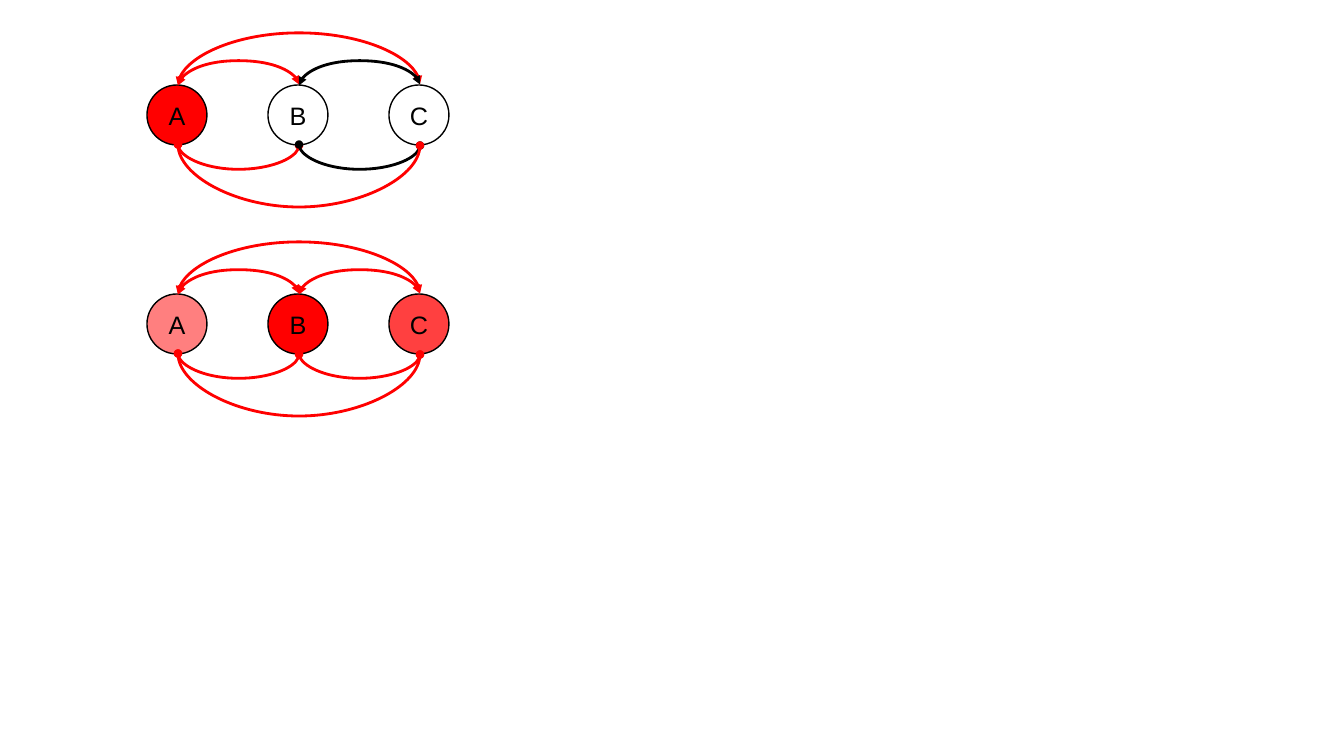
from lxml import etree
from pptx import Presentation, util as u
from pptx.dml.color import RGBColor
from pptx.enum import shapes, text
from pptx.oxml.ns import qn

RED = RGBColor(255, 0, 0)
BLACK = RGBColor(0, 0, 0)
PX = 914400 / 100.8

# Grid of nodes, in px
LEFT, STEP, SIZE = 147, 121, 60
PORT = 178  # x where arcs meet the first node


def px(n):
    return u.Emu(round(n * PX))


class Board:
    font = {"name": "Arial", "size": u.Pt(18)}
    frame = {"vertical_anchor": text.MSO_ANCHOR.MIDDLE, "word_wrap": True}

    def __init__(self, deck):
        self.slide = deck.slides.add_slide(deck.slide_layouts[6])

    def style(self, item, values):
        for key, value in values.items():
            setattr(item, key, value)

    def stroke(self, line, color, width):
        line.color.rgb = color
        line.width = u.Pt(width)

    def node(self, name, x, y, alpha):
        """Labelled circle; alpha is the percentage of red, 0 for no fill."""
        dot = self.slide.shapes.add_shape(
            shapes.MSO_SHAPE.OVAL, px(x), px(y), px(SIZE), px(SIZE))
        dot.shadow.inherit = False
        self.stroke(dot.line, BLACK, 1)
        if alpha:
            dot.fill.solid()
            dot.fill.fore_color.rgb = RED
            if alpha < 100:
                tint = dot.fill._xPr.find(".//" + qn("a:srgbClr"))
                etree.SubElement(tint, qn("a:alpha"), val=str(alpha * 1000))
        else:
            dot.fill.background()
        self.style(dot.text_frame, self.frame)
        para = dot.text_frame.paragraphs[0]
        para.alignment = text.PP_ALIGN.CENTER
        run = para.add_run()
        run.text = name
        self.style(run.font, self.font)
        run.font.color.rgb = BLACK

    def arc(self, start, end, y, bulge, color, over):
        """Curve between two nodes: a 1 px wide connector turned on its side."""
        span = (end - start) * STEP
        x, top = PORT + start * STEP + span / 2 - 0.5, y - span / 2
        link = self.slide.shapes.add_connector(
            shapes.MSO_CONNECTOR.CURVE, px(x), px(top), px(x + 1), px(top + span))
        self.stroke(link.line, color, 2)
        props = link._element.spPr
        turn = {"rot": "5400000", "flipH": "1", "flipV": "1"}
        if not over:
            turn = {"rot": "16200000", "flipH": "1"}
        for key, value in turn.items():
            props.find(qn("a:xfrm")).set(key, value)
        guides = props.find(qn("a:prstGeom")).get_or_add_avLst()
        etree.SubElement(guides, qn("a:gd"), name="adj1", fmla=f"val {bulge * 100000}")
        for tip in ("a:headEnd", "a:tailEnd"):
            etree.SubElement(props.find(qn("a:ln")), qn(tip),
                             type="triangle" if over else "oval")
        etree.SubElement(props, qn("a:effectLst"))

    def graph(self, y, alphas, side):
        """Three nodes, arrows above and dotted arcs below."""
        for i, (name, alpha) in enumerate(zip("ABC", alphas)):
            self.node(name, LEFT + i * STEP, y, alpha)
        for start, end, bulge, color in (
                (0, 1, 25, RED), (0, 2, 53, RED), (1, 2, 25, side)):
            self.arc(start, end, y, bulge, color, True)
        for start, end, bulge, color in (
                (0, 1, 25, RED), (1, 2, 25, side), (0, 2, 63, RED)):
            self.arc(start, end, y + SIZE, bulge, color, False)


def main():
    deck = Presentation()
    deck.slide_width, deck.slide_height = px(1344), px(756)
    board = Board(deck)
    # Only A active
    board.graph(85, (100, 0, 0), BLACK)
    # All nodes active, B strongest
    board.graph(294, (50, 100, 75), RED)
    deck.save("out.pptx")


if __name__ == "__main__":
    main()
